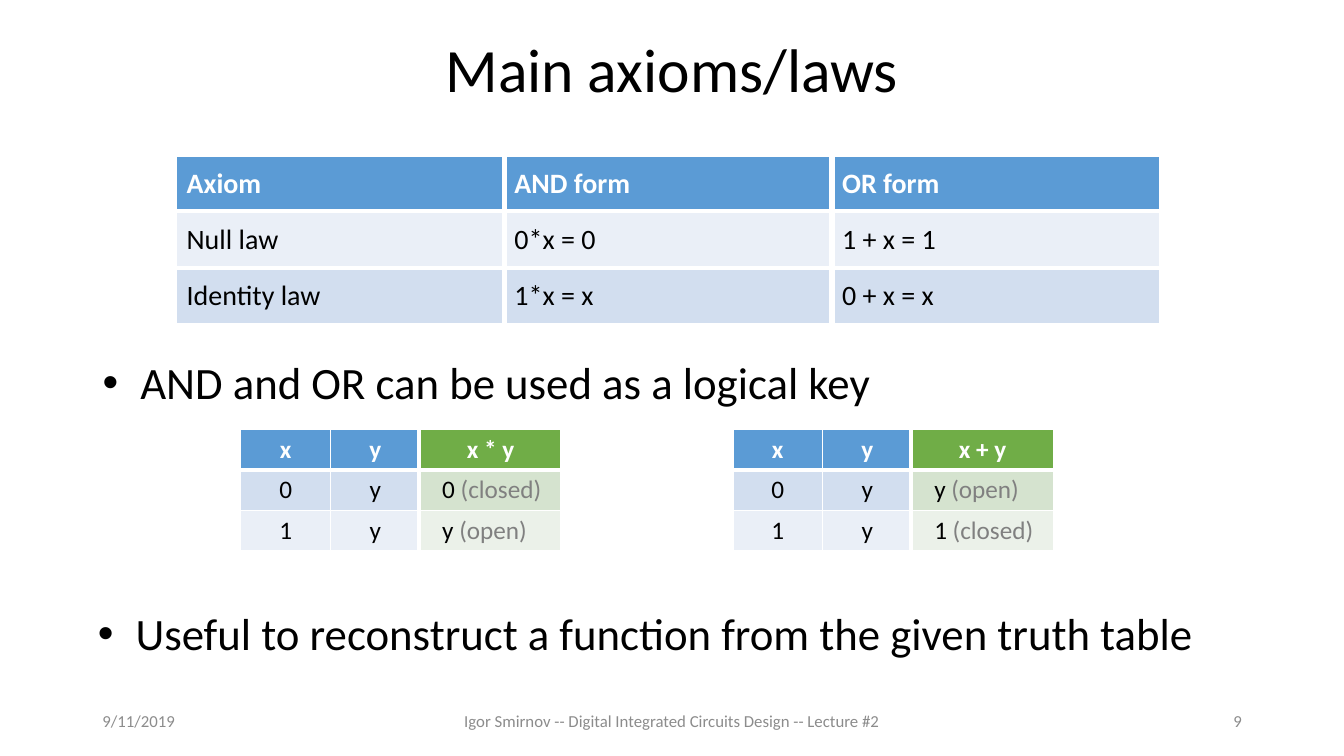
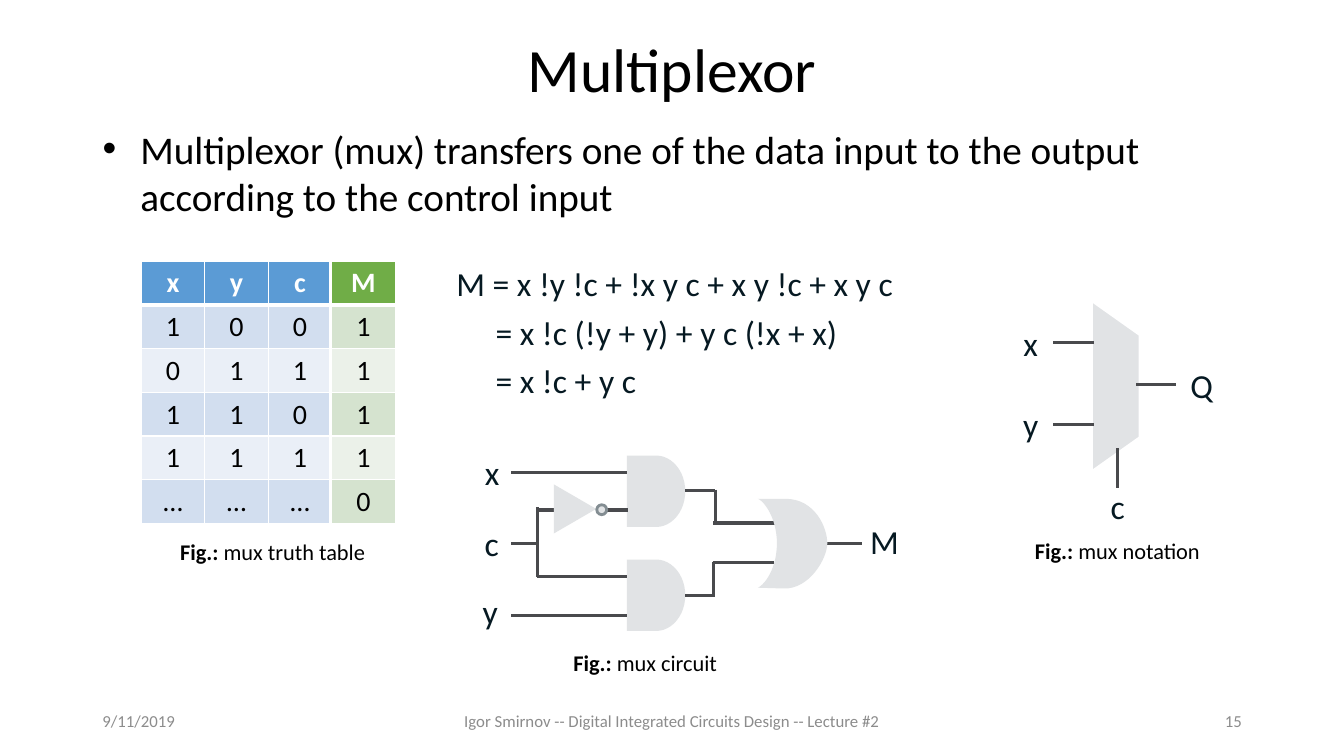
from dataclasses import dataclass

from pptx import Presentation
from pptx.dml.color import RGBColor as RGB
from pptx.enum.shapes import MSO_CONNECTOR as CONN, MSO_SHAPE as SHAPE
from pptx.enum.text import MSO_ANCHOR as ANCHOR, MSO_AUTO_SIZE as FIT, PP_ALIGN as ALIGN
from pptx.oxml.ns import qn
from pptx.util import Cm, Pt
from lxml.etree import SubElement


@dataclass(frozen=True)
class Theme:
    font: str = "Calibri"
    black: str = "000000"
    white: str = "FFFFFF"
    ink: str = "061922"
    note: str = "808080"
    footer: str = "8C8C8C"
    gate: str = "E1E3E5"
    wire: str = "494A4D"
    ring: str = "838D92"
    blue: tuple = ("5B9BD5", "D2DEEF", "EAEFF7")
    green: tuple = ("70AD47", "D5E3CF", "EBF1E9")
    title_pt: int = 44
    key_pt: int = 32
    body_pt: int = 28
    label_pt: int = 24
    table_pt: int = 20
    small_table_pt: int = 18
    caption_pt: int = 16
    footer_pt: int = 12
    thin_pt: float = 1
    head_pt: float = 3
    gap_pt: float = 4.5
    wire_pt: float = 2.25
    outline_pt: float = 2


T = Theme()
LEFT, WIDTH = 2.33, 29.21


def add_run(p, text, size, color, bold=False):
    r = p.add_run()
    r.text = text
    r.font.name, r.font.size, r.font.bold = T.font, Pt(size), bold
    r.font.color.rgb = RGB.from_string(color)


def place(sp, x, y, w, h):
    sp.left, sp.top, sp.width, sp.height = Cm(x), Cm(y), Cm(w), Cm(h)


def add_text(shapes, x, y, w, h, align=ALIGN.LEFT, anchor=ANCHOR.TOP, wrap=True):
    tf = shapes.add_textbox(Cm(x), Cm(y), Cm(w), Cm(h)).text_frame
    tf.word_wrap, tf.vertical_anchor = wrap, anchor
    p = tf.paragraphs[0]
    p.alignment = align
    return tf, p


def fill_placeholder(sp, box, text, size):
    place(sp, *box)
    tf = sp.text_frame
    tf.auto_size = FIT.NONE
    p = tf.paragraphs[0]
    add_run(p, text, size, T.black)
    return tf, p


def add_bullet(sp, x, y, h, text, size):
    tf, p = fill_placeholder(sp, (x, y, WIDTH, h), text, size)
    tf.vertical_anchor = ANCHOR.TOP
    p.space_before = Pt(18)


def add_frame(prs, layout, title, number):
    s = prs.slides.add_slide(prs.slide_layouts[layout])
    tf, p = fill_placeholder(s.shapes.title, (LEFT, 0, WIDTH, 3.68), title, T.title_pt)
    tf.vertical_anchor = ANCHOR.MIDDLE
    p.alignment, p.line_spacing = ALIGN.CENTER, 0.9
    for x, w, align, text in (
        (LEFT, 7.62, ALIGN.LEFT, "9/11/2019"),
        (11.22, 11.43, ALIGN.CENTER,
         "Igor Smirnov -- Digital Integrated Circuits Design -- Lecture #2"),
        (23.93, 7.62, ALIGN.RIGHT, number),
    ):
        _, p = add_text(s.shapes, x, 17.65, w, 1.02, align, ANCHOR.MIDDLE)
        add_run(p, text, T.footer_pt, T.footer)
    return s


def set_borders(cell, left, right, top, bottom):
    tc_pr = cell._tc.get_or_add_tcPr()
    for side, width in (("L", left), ("R", right), ("T", top), ("B", bottom)):
        ln = SubElement(tc_pr, qn(f"a:ln{side}"), w=str(Pt(width)))
        fill = SubElement(ln, qn("a:solidFill"))
        SubElement(fill, qn("a:srgbClr"), val=T.white)


def fill_cell(cell, content, size, fill, is_head, align, anchor):
    cell.fill.solid()
    cell.fill.fore_color.rgb = RGB.from_string(fill)
    cell.vertical_anchor = anchor
    p = cell.text_frame.paragraphs[0]
    if isinstance(content, tuple):
        value, note = content
        add_run(p, value + " ", size, T.black)
        add_run(p, note, size, T.note)
        p._p.get_or_add_pPr().set("marL", str(Cm(0.3)))
    else:
        p.alignment = align
        add_run(p, content, size, T.white if is_head else T.black, is_head)


def add_grid(s, x, y, col_w, row_h, rows, size, fills, gaps=(),
             has_head=True, align=ALIGN.CENTER, anchor=ANCHOR.TOP):
    n_rows, n_cols = len(rows), len(rows[0])
    table = s.shapes.add_table(n_rows, n_cols, Cm(x), Cm(y),
                               Cm(col_w * n_cols), Cm(row_h * n_rows)).table
    for col in table.columns:
        col.width = Cm(col_w)
    for i, row in enumerate(rows):
        table.rows[i].height = Cm(row_h)
        is_head = has_head and i == 0
        fill = fills[0] if i == 0 else fills[2 - i % 2]
        for j, content in enumerate(row):
            cell = table.cell(i, j)
            set_borders(cell,
                        T.gap_pt if j - 1 in gaps else T.thin_pt,
                        T.gap_pt if j in gaps else T.thin_pt,
                        T.head_pt if has_head and i == 1 else T.thin_pt,
                        T.head_pt if is_head else T.thin_pt)
            fill_cell(cell, content, size, fill, is_head, align, anchor)


def add_axioms(s, x, y):
    rows = (("Axiom", "AND form", "OR form"),
            ("Null law", "0*x = 0", "1 + x = 1"),
            ("Identity law", "1*x = x", "0 + x = x"))
    head, dark, light = T.blue
    for i, (row, fill) in enumerate(zip(rows, (head, light, dark))):
        add_grid(s, x, y + 1.42 * i, 8.26, 1.37, [row], T.table_pt, (fill,), (0, 1),
                 i == 0, ALIGN.LEFT, ANCHOR.MIDDLE)


def add_truth_table(s, x, y, col_w, result_w, row_h, inputs, results, size):
    n = len(inputs[0])
    add_grid(s, x, y, col_w, row_h, inputs, size, T.blue, (n - 1,))
    add_grid(s, x + n * col_w, y, result_w, row_h, [[v] for v in results], size, T.green)


def add_label(g, x, y, text, w=0.89):
    _, p = add_text(g.shapes, x, y, w, 1.27, ALIGN.CENTER, ANCHOR.MIDDLE, False)
    add_run(p, text, T.label_pt, T.ink)


def add_wire(g, x1, y1, x2, y2):
    c = g.shapes.add_connector(CONN.STRAIGHT, Cm(x1), Cm(y1), Cm(x2), Cm(y2))
    c.line.color.rgb = RGB.from_string(T.wire)
    c.line.width = Pt(T.wire_pt)
    SubElement(c._element.spPr, qn("a:effectLst"))


def style_gate(sp, outline=None):
    sp.shadow.inherit = False
    sp.fill.solid()
    sp.fill.fore_color.rgb = RGB.from_string(T.gate)
    if outline:
        sp.line.color.rgb = RGB.from_string(outline)
        sp.line.width = Pt(T.outline_pt)
    else:
        sp.line.fill.background()


def add_gate(g, kind, x, y, w, h, rotation=0, outline=None):
    sp = g.shapes.add_shape(kind, Cm(x), Cm(y), Cm(w), Cm(h))
    sp.rotation = rotation
    style_gate(sp, outline)


def curve(a, b, c, d, steps=16):
    for k in range(1, steps + 1):
        t = k / steps
        u = 1 - t
        yield tuple(u**3 * p + 3 * u * u * t * q + 3 * u * t * t * r + t**3 * v
                    for p, q, r, v in zip(a, b, c, d))


def add_or_gate(g, x, y):
    start, low, nose, waist = (0.69, 0), (0.64, 2.26), (1.75, 1.12), (0.48, 1.12)
    points = [(0, 0),
              *curve((0, 0), (0.15, 0.05), (0.48, 0.48), waist),
              *curve(waist, (0.48, 1.75), (0.18, 2.16), (0, 2.24)),
              low,
              *curve(low, (1.3, 2.29), (1.75, 1.5), nose),
              *curve(nose, (1.75, 0.74), (1.45, 0), start)]
    fb = g.shapes.build_freeform(Cm(x + start[0]), Cm(y + start[1]))
    fb.add_line_segments([(Cm(x + px), Cm(y + py)) for px, py in points], close=True)
    style_gate(fb.convert_to_shape())


def add_mux_symbol(s, x, y):
    g = s.shapes.add_group_shape()
    add_gate(g, SHAPE.FLOWCHART_MANUAL_OPERATION, x + 0.46, y + 1.12, 4.32, 1.22,
             270, T.white)
    for dx, dy, text, w in ((0.03, 0, "x", 0.89), (0.03, 2.06, "y", 0.89),
                            (4.24, 1.07, "Q", 1.09), (2.24, 4.12, "c", 0.86)):
        add_label(g, x + dx, y + dy, text, w)
    for x1, y1, x2, y2 in ((1.04, 0.64, 2.06, 0.64), (1.04, 2.69, 2.06, 2.69),
                           (3.13, 1.7, 4.14, 1.7), (2.67, 3.3, 2.67, 4.29)):
        add_wire(g, x + x1, y + y1, x + x2, y + y2)


def add_mux_circuit(s, x, y):
    g = s.shapes.add_group_shape()
    for dy in (0.28, 2.9):
        add_gate(g, SHAPE.FLOWCHART_DELAY, x + 3.9, y + dy, 1.47, 1.8)
    for dx, dy, text, w in ((0.06, 0.05, "x", 0.89), (0.06, 1.86, "c", 0.86),
                            (0.01, 3.56, "y", 0.89), (9.77, 1.8, "M", 1.24)):
        add_label(g, x + dx, y + dy, text, w)
    for x1, y1, x2, y2 in (
        (0.98, 0.71, 3.9, 0.71), (0.98, 2.49, 1.64, 2.49), (0.98, 4.32, 3.9, 4.32),
        (1.64, 1.58, 1.64, 3.35), (1.64, 1.65, 2.07, 1.65), (1.64, 3.33, 3.9, 3.33),
        (3.11, 1.65, 3.92, 1.65),
        (5.37, 1.17, 6.13, 1.17), (6.13, 1.14, 6.13, 2.01), (6.08, 1.98, 7.66, 1.98),
        (5.37, 3.81, 6.13, 3.81), (6.08, 2.95, 6.08, 3.84), (6.06, 2.97, 7.61, 2.97),
        (8.88, 2.49, 9.82, 2.49),
    ):
        add_wire(g, x + x1, y + y1, x + x2, y + y2)
    add_gate(g, SHAPE.ISOSCELES_TRIANGLE, x + 1.97, y + 1.09, 1.24, 1.07, 90)
    add_gate(g, SHAPE.OVAL, x + 3.14, y + 1.52, 0.25, 0.25, outline=T.ring)
    add_or_gate(g, x + 7.2, y + 1.37)


def add_equations(s, x, y, w, h):
    tf, p = add_text(s.shapes, x, y, w, h)
    for i, text in enumerate(("M = x !y !c + !x y c + x y !c + x y c",
                              "= x !c (!y + y) + y c (!x + x)",
                              "= x !c + y c")):
        if i:
            p = tf.add_paragraph()
            p._p.get_or_add_pPr().set("marL", str(Cm(0.99)))
        p.space_before = Pt(6)
        add_run(p, text, T.label_pt, T.ink)


def add_caption(s, x, y, w, text):
    _, p = add_text(s.shapes, x, y, w, 0.94, wrap=False)
    add_run(p, "Fig.: ", T.caption_pt, T.black, True)
    add_run(p, text, T.caption_pt, T.black)


def build_axioms_slide(prs):
    s = add_frame(prs, 3, "Main axioms/laws", "9")
    add_bullet(s.placeholders[1], LEFT, 8.81, 1.83,
               "AND and OR can be used as a logical key", T.key_pt)
    add_bullet(s.placeholders[2], 2.21, 15.14, 1.83,
               "Useful to reconstruct a function from the given truth table", T.key_pt)
    add_axioms(s, 4.45, 3.94)
    for x, results in ((6.07, ("x * y", ("0", "(closed)"), ("y", "(open)"))),
                       (18.47, ("x + y", ("y", "(open)"), ("1", "(closed)")))):
        add_truth_table(s, x, 10.82, 2.26, 3.55, 1.02, ("xy", "0y", "1y"),
                        results, T.small_table_pt)


def build_mux_slide(prs):
    s = add_frame(prs, 1, "Multiplexor", "15")
    add_bullet(s.placeholders[1], LEFT, 3.02, 3.05,
               "Multiplexor (mux) transfers one of the data input to the output "
               "according to the control input", T.body_pt)
    add_truth_table(s, 3.56, 6.58, 1.6, 1.6, 1.1,
                    ("xyc", "100", "011", "110", "111", "………"), "M11110", T.table_pt)
    add_equations(s, 11.25, 6.5, 16.94, 4.78)
    add_mux_symbol(s, 25.5, 8)
    add_mux_circuit(s, 11.9, 11.2)
    add_caption(s, 4.29, 13.44, 5.23, "mux truth table")
    add_caption(s, 25.83, 13.41, 4.72, "mux notation")
    add_caption(s, 14.2, 16.23, 4.17, "mux circuit")


def main():
    prs = Presentation()
    prs.slide_width, prs.slide_height = Cm(33.87), Cm(19.05)
    build_axioms_slide(prs)
    build_mux_slide(prs)
    prs.save("out.pptx")


if __name__ == "__main__":
    main()
